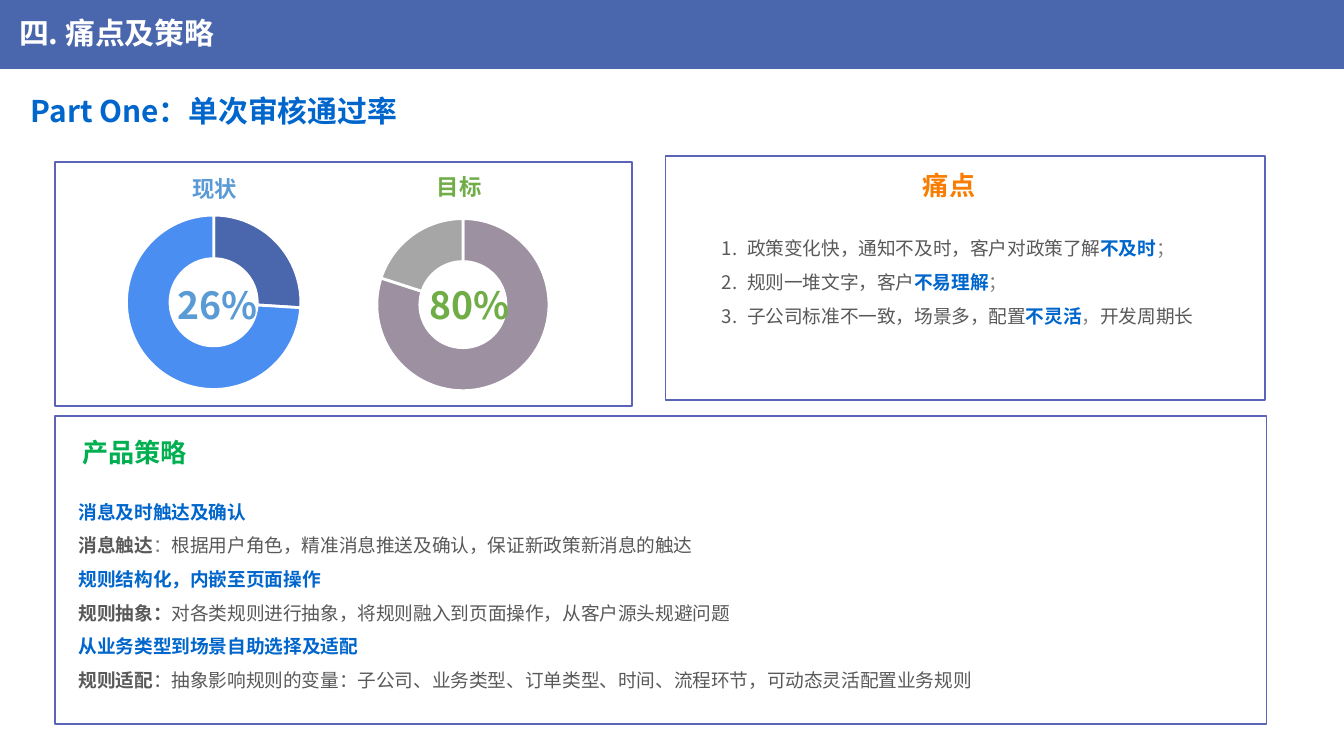
from dataclasses import dataclass, field
from lxml.etree import SubElement
from pptx import Presentation
from pptx.chart.data import CategoryChartData
from pptx.dml.color import RGBColor
from pptx.enum.chart import XL_CHART_TYPE
from pptx.enum.shapes import MSO_SHAPE
from pptx.enum.text import MSO_ANCHOR, MSO_AUTO_SIZE, PP_ALIGN
from pptx.oxml.ns import qn
from pptx.util import Pt


@dataclass
class Theme:
    font: str = "Noto Sans CJK SC"
    chart_font: str = "Lato"
    heading: int = 16
    panel_title: int = 14
    label: int = 12
    body: int = 10
    figure: int = 20
    band: str = "4A66AC"
    outline: str = "5C64B7"
    white: str = "FFFFFF"
    black: str = "000000"
    styles: dict = field(default_factory=lambda: {
        "title": ("FFFFFF", True),
        "key": ("0066CC", True),
        "strong": ("595959", True),
        "plain": ("595959", False),
        "mark": ("808080", False),
        "pain": ("F97D00", True),
        "strategy": ("00B050", True),
        "current": ("5B9BD5", True),
        "target": ("70AD47", True),
    })


THEME = Theme()
WIDTH, HEIGHT = 720, 405
BAND_HEIGHT = 37
PLOT_SHARE = 0.82

TITLE = "四. 痛点及策略"
SUBTITLE = "Part One：单次审核通过率"
PAIN_TITLE = "痛点"
STRATEGY_TITLE = "产品策略"

PAIN_POINTS = [
    [("政策变化快，通知不及时，客户对政策了解", "plain"), ("不及时", "key"), ("；", "mark")],
    [("规则一堆文字，客户", "plain"), ("不易理解", "key"), ("；", "mark")],
    [("子公司标准不一致，场景多，配置", "plain"), ("不灵活", "key"), ("，", "mark"),
     ("开发周期长", "plain")],
]

STRATEGIES = [
    [("消息及时触达及确认", "key")],
    [("消息触达", "strong"), ("：", "mark"),
     ("根据用户角色，精准消息推送及确认，保证新政策新消息的触达", "plain")],
    [("规则结构化，内嵌至页面操作", "key")],
    [("规则抽象：", "strong"),
     ("对各类规则进行抽象，将规则融入到页面操作，从客户源头规避问题", "plain")],
    [("从业务类型到场景自助选择及适配", "key")],
    [("规则适配", "strong"),
     ("：抽象影响规则的变量：子公司、业务类型、订单类型、时间、流程环节，可动态灵活配置业务规则", "plain")],
]

PANELS = [(29.5, 87, 309, 130.5), (356.5, 83.5, 321, 131), (29.5, 223, 649, 165)]

RATES = [
    {"label": "现状", "style": "current", "value": 26, "colours": ("4A66AC", "4A8EF2"),
     "chart": (30, 105, 169, 114), "label_at": (96, 90.5), "figure_at": (88, 147.5)},
    {"label": "目标", "style": "target", "value": 80, "colours": ("9D90A0", "A6A6A6"),
     "chart": (140.5, 107, 215, 112.5), "label_at": (227, 89), "figure_at": (223, 147.5)},
]


def colour(value):
    return RGBColor.from_string(value)


def points(*lengths):
    return [Pt(length) for length in lengths]


def add_text(page, paragraphs, place, size, style="plain", align=PP_ALIGN.LEFT,
             spacing=1.0, numbered=False, box=None):
    box = box or page.shapes.add_textbox(*points(*place))
    box.left, box.top, box.width, box.height = points(*place)
    box.element.getparent().append(box.element)
    frame = box.text_frame
    frame.word_wrap = True
    frame.auto_size = MSO_AUTO_SIZE.NONE
    frame.vertical_anchor = MSO_ANCHOR.TOP
    if isinstance(paragraphs, str):
        paragraphs = [[(paragraphs, style)]]
    for index, spans in enumerate(paragraphs):
        para = frame.add_paragraph() if index else frame.paragraphs[0]
        para.alignment = align
        para.line_spacing = spacing
        para.space_before = para.space_after = Pt(0)
        settings = para._p.get_or_add_pPr()
        indent = Pt(13.5) if numbered else 0
        settings.set("marL", str(indent))
        settings.set("indent", str(-indent))
        if numbered:
            SubElement(settings, qn("a:buFont"), typeface=THEME.font)
            SubElement(settings, qn("a:buAutoNum"), type="arabicPeriod")
        else:
            SubElement(settings, qn("a:buNone"))
        for text, name in spans:
            span = para.add_run()
            span.text = text
            tint, span.font.bold = THEME.styles[name]
            span.font.size = Pt(size)
            span.font.name = THEME.font
            span.font.color.rgb = colour(tint)
            SubElement(span.font._element, qn("a:ea"), typeface=THEME.font)
    return box


def add_rectangle(page, place, fill, line=None):
    box = page.shapes.add_shape(MSO_SHAPE.RECTANGLE, *points(*place))
    box.shadow.inherit = False
    box.fill.solid()
    box.fill.fore_color.rgb = colour(fill)
    if line:
        box.line.color.rgb = colour(line)
        box.line.width = Pt(1)
    else:
        box.line.fill.background()


def add_doughnut(page, rate):
    data = CategoryChartData()
    data.categories = ["1", "2"]
    data.add_series("Series 1", (rate["value"], 100 - rate["value"]))
    place = rate["chart"]
    chart = page.shapes.add_chart(XL_CHART_TYPE.DOUGHNUT, *points(*place), data).chart
    chart.has_legend = False
    chart.has_title = False
    chart.font.name = THEME.chart_font
    chart.font.size = Pt(THEME.body)
    chart.font.color.rgb = colour(THEME.black)
    for index, tint in enumerate(rate["colours"]):
        slice_format = chart.plots[0].series[0].points[index].format
        slice_format.fill.solid()
        slice_format.fill.fore_color.rgb = colour(tint)
        slice_format.line.color.rgb = colour(THEME.white)
        slice_format.line.width = Pt(1.5)
    for hole in chart.element.xpath(".//c:holeSize"):
        hole.set("val", "75")
    plot_area = chart.element.xpath(".//c:plotArea")[0]
    for old in plot_area.xpath("c:layout"):
        plot_area.remove(old)
    layout = SubElement(plot_area, qn("c:layout"))
    plot_area.insert(0, layout)
    manual = SubElement(layout, qn("c:manualLayout"))
    width, height = PLOT_SHARE * place[3] / place[2], PLOT_SHARE
    for tag, value in (("layoutTarget", "inner"), ("xMode", "edge"), ("yMode", "edge"),
                       ("x", (1 - width) / 2), ("y", (1 - height) / 2),
                       ("w", width), ("h", height)):
        SubElement(manual, qn(f"c:{tag}"), val=str(value))


def main():
    deck = Presentation()
    deck.slide_width, deck.slide_height = points(WIDTH, HEIGHT)
    page = deck.slides.add_slide(deck.slide_layouts[3])
    title, pains, strategies = list(page.placeholders)[:3]

    add_rectangle(page, (0, 0, WIDTH, BAND_HEIGHT), THEME.band)
    for place in PANELS:
        add_rectangle(page, place, THEME.white, THEME.outline)

    add_text(page, TITLE, (3, 4.5, 482, 26.5), THEME.heading, "title", box=title)
    add_text(page, SUBTITLE, (9.5, 46, 252, 26.5), THEME.heading, "key")
    add_text(page, PAIN_TITLE, (479, 87, 59, 24.5), THEME.panel_title, "pain",
             PP_ALIGN.CENTER)
    add_text(page, PAIN_POINTS, (379.5, 117.5, 276, 62), THEME.body, spacing=1.5,
             numbered=True, box=pains)
    add_text(page, STRATEGY_TITLE, (10, 230.5, 124.5, 24.5), THEME.panel_title, "strategy",
             PP_ALIGN.CENTER)
    add_text(page, STRATEGIES, (35, 258.5, 584, 116.5), THEME.body, spacing=1.5,
             box=strategies)

    for rate in RATES:
        add_doughnut(page, rate)
    for rate in RATES:
        add_text(page, f"{rate['value']}%", (*rate["figure_at"], 73.5, 31.5), THEME.figure,
                 rate["style"])
        add_text(page, rate["label"], (*rate["label_at"], 67.5, 21.5), THEME.label,
                 rate["style"])

    deck.save("out.pptx")


if __name__ == "__main__":
    main()
